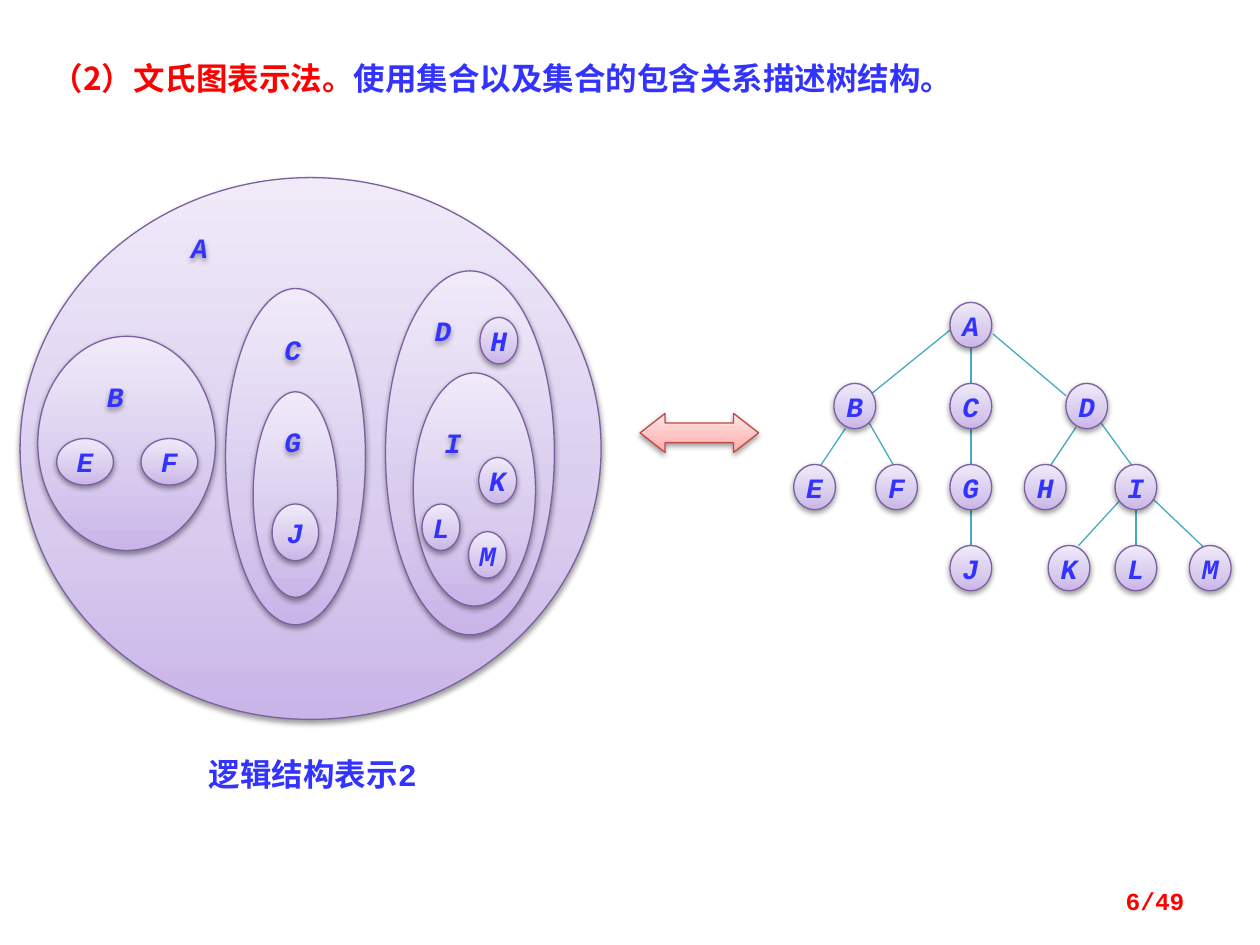
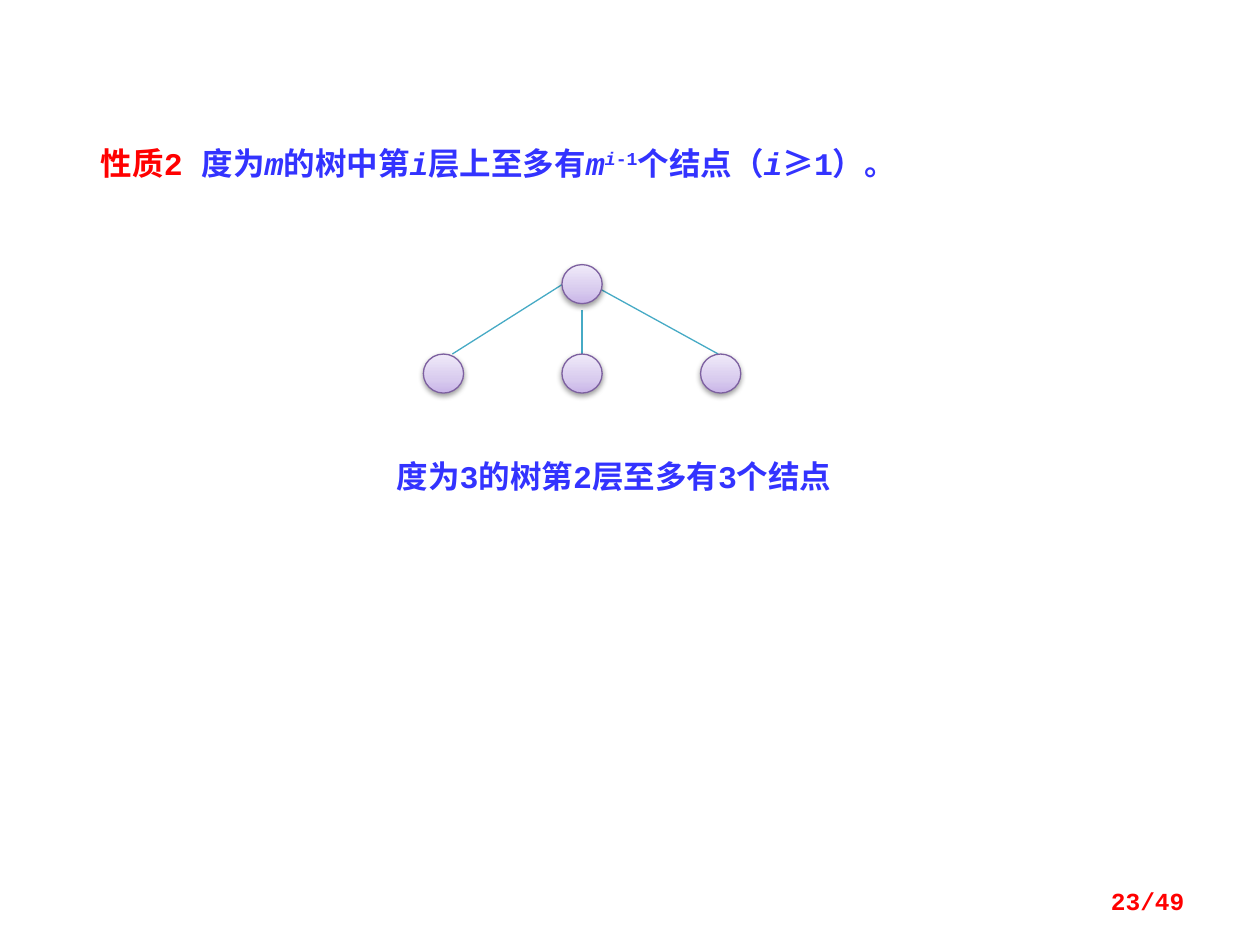
from copy import deepcopy
from pptx import Presentation
from pptx.dml.color import RGBColor
from pptx.enum import shapes, text
from pptx.oxml import parse_xml
from pptx.oxml.ns import nsdecls, qn
from pptx.util import Pt

COLORS = {"blue": "3333FF", "red": "FF0000", "edge": "46AAC5",
          "violet line": "7D60A0", "rose line": "BF4C48"}
GRADIENTS = {"violet": ("C9B5E8", "D8CBEE", "F0EAF9"),
             "rose": ("FFA6A5", "FFC0BF", "FFE7E7")}
MONO, CJK, SERIF = "Courier New", "Noto Sans CJK SC", "Times New Roman"
SHADOW = (f'<a:outerShdw {nsdecls("a")} blurRad="40000" dist="20000" dir="5400000" '
          'rotWithShape="0"><a:srgbClr val="000000"><a:alpha val="38000"/>'
          '</a:srgbClr></a:outerShdw>')
OVAL = shapes.MSO_SHAPE.OVAL
ALIGN = text.PP_ALIGN


def write(sp, words, size, color="blue", align=ALIGN.LEFT, italic=False,
          anchor=text.MSO_ANCHOR.TOP, wrap=True):
    """Put one bold paragraph into a shape and return it."""
    tf = sp.text_frame
    tf.word_wrap = wrap
    tf.vertical_anchor = anchor
    p = tf.paragraphs[0]
    p.text = words
    p.alignment = align
    p.font.size, p.font.bold, p.font.italic = Pt(size), True, italic
    p.font.color.rgb = RGBColor.from_string(COLORS[color])
    p.font.name = MONO
    latin = p._p.pPr.find(".//" + qn("a:latin"))
    latin.addnext(parse_xml(f'<a:ea {nsdecls("a")} typeface="{CJK}"/>'))
    return p


def glossy(s, kind, box, tone="violet"):
    """Add a shape with a vertical gradient, thin outline and soft shadow."""
    sp = s.shapes.add_shape(kind, *map(Pt, box))
    sp.fill.gradient()
    sp.fill.gradient_angle = 90
    stops = sp._element.spPr.find(".//" + qn("a:gsLst"))
    stops.insert(1, deepcopy(stops[0]))
    for stop, at, color in zip(sp.fill.gradient_stops, (0, 0.35, 1), GRADIENTS[tone]):
        stop.position = at
        stop.color.rgb = RGBColor.from_string(color)
    sp.line.color.rgb = RGBColor.from_string(COLORS[tone + " line"])
    sp.line.width = Pt(0.75)
    sp.shadow.inherit = False
    sp._element.spPr.find(qn("a:effectLst")).append(parse_xml(SHADOW))
    return sp


# Tree of slide 1: letter -> (left, level)
NODE_W, NODE_H, TOP, LEVEL = 23.8, 25.9, 172.8, 46.3
tree = {"A": (542.9, 0), "B": (476.6, 1), "C": (542.9, 1), "D": (609.1, 1),
        "E": (453.6, 2), "F": (500.4, 2), "G": (542.9, 2), "H": (585.4, 2),
        "I": (637.2, 2), "J": (542.9, 3), "K": (599, 3), "L": (637.2, 3),
        "M": (679.7, 3)}
tree_edges = [(542.9, 188.6, 497.5, 225.4), (567.4, 190.8, 609.1, 226.1),
              (483.1, 244.8, 468.7, 266.4), (496.8, 241.9, 510.5, 265.7),
              (614.9, 244.1, 600.5, 265.7), (629.3, 241.9, 646.6, 265.7),
              (640.1, 285.8, 616.3, 311.8), (658.8, 285.1, 687.6, 312.5)]
for parent, child in ("AC", "CG", "GJ", "IL"):
    x, level = tree[parent]
    mid, top = x + NODE_W / 2, TOP + level * LEVEL
    tree_edges.append((mid, top + NODE_H, mid, top + LEVEL))

# Title runs: text, colour, font, italic, superscript
pages = [
    dict(title_box=(22.3, 28.1, 551.5, 31.7), spacing=1.1, number="6/49",
         title=[("（2）文氏图表示法。", "red", CJK, False, False),
                ("使用集合以及集合的包含关系描述树结构。", "blue", SERIF, False, False)],
         edges=tree_edges,
         nodes=[(x, TOP + level * LEVEL, NODE_W, NODE_H, name)
                for name, (x, level) in tree.items()],
         caption="逻辑结构表示2", caption_box=(112.3, 427.7, 142.6, 28.8)),
    dict(title_box=(50.4, 78.5, 534.2, 28.8), spacing=1.0, number="23/49",
         title=[("性质2 ", "red", MONO, False, False),
                ("度为", "blue", MONO, False, False),
                ("m", "blue", MONO, True, False),
                ("的树中第", "blue", MONO, False, False),
                ("i", "blue", MONO, True, False),
                ("层上至多有", "blue", MONO, False, False),
                ("m", "blue", MONO, True, False),
                ("i", "blue", MONO, True, True),
                ("-1", "blue", MONO, False, True),
                ("个结点（", "blue", MONO, False, False),
                ("i", "blue", MONO, True, False),
                ("≥", "blue", CJK, False, False),
                ("1）。", "blue", MONO, False, False)],
         edges=[(321.1, 162.7, 258.5, 202.3), (332.6, 177.1, 332.6, 205.2),
                (338.4, 162.7, 410.4, 202.3)],
         nodes=[(321.1, 151.2, 23, 22.3, "")]
               + [(241.9 + 79.2 * i, 202.3, 23, 22.3, "") for i in range(3)],
         caption="度为3的树第2层至多有3个结点", caption_box=(219.6, 257.8, 270, 28.8)),
]

prs = Presentation()
prs.slide_width, prs.slide_height = Pt(720), Pt(540)

for page in pages:
    s = prs.slides.add_slide(prs.slide_layouts[5])

    # Title
    sp = s.shapes.title
    sp.left, sp.top, sp.width, sp.height = map(Pt, page["title_box"])
    p = write(sp, "", 18, align=ALIGN.JUSTIFY)
    sp.text_frame.auto_size = text.MSO_AUTO_SIZE.NONE
    p.line_spacing = page["spacing"]
    for words, color, font, italic, raised in page["title"]:
        r = p.add_run()
        r.text = words
        r.font.color.rgb = RGBColor.from_string(COLORS[color])
        r.font.name, r.font.italic = font, italic
        if raised:
            r.font._element.set("baseline", "30000")

    # Tree edges, then nodes
    for ends in page["edges"]:
        cx = s.shapes.add_connector(shapes.MSO_CONNECTOR.STRAIGHT, *map(Pt, ends))
        cx.line.color.rgb = RGBColor.from_string(COLORS["edge"])
        cx.line.width = Pt(0.75)
        cx._element.spPr.append(parse_xml(f'<a:effectLst {nsdecls("a")}/>'))
    for *box, name in page["nodes"]:
        sp = glossy(s, OVAL, box)
        if name:
            write(sp, name, 16, align=ALIGN.CENTER, italic=True,
                  anchor=text.MSO_ANCHOR.MIDDLE, wrap=False)

    # Caption and page number
    write(s.shapes.add_textbox(*map(Pt, page["caption_box"])), page["caption"], 18)
    write(s.shapes.add_textbox(Pt(516.2), Pt(500.4), Pt(167.8), Pt(28.8)),
          page["number"], 14, "red", ALIGN.RIGHT, anchor=text.MSO_ANCHOR.MIDDLE)

# Venn diagram on slide 1: outer sets before the sets they hold
s = prs.slides[0]
for box in [(11.5, 101.5, 332, 309.6), (21.6, 192.2, 101.5, 122.4),
            (128.9, 164.9, 79.9, 192.2), (144.7, 223.9, 48.2, 117.4),
            (220.3, 154.8, 96.5, 208), (236.2, 213.1, 69.8, 133.2)]:
    glossy(s, OVAL, box)
for name, *box in [("E", 32.4, 250.6, 32.4, 26.6), ("F", 80.6, 250.6, 32.4, 26.6),
                   ("J", 155.5, 288, 26.6, 32.4), ("H", 274.3, 181.4, 21.6, 26.6),
                   ("K", 273.6, 261.4, 21.6, 26.6), ("L", 241.2, 288, 21.6, 26.6),
                   ("M", 267.8, 303.8, 21.6, 26.6)]:
    write(glossy(s, OVAL, box), name, 16, align=ALIGN.CENTER, italic=True,
          anchor=text.MSO_ANCHOR.MIDDLE, wrap=False)

# Set names
for name, x, y, w in [("A", 102.2, 128.2, 26.6), ("B", 54, 213.1, 26.6),
                      ("C", 155.5, 186.5, 21.6), ("G", 155.5, 239, 21.6),
                      ("D", 241.2, 175.7, 27.4), ("I", 247, 239.8, 26.6)]:
    sp = s.shapes.add_textbox(Pt(x), Pt(y), Pt(w), Pt(27.4))
    write(sp, name, 16, italic=True)
    sp.shadow.inherit = False
    sp._element.spPr.find(qn("a:effectLst")).append(parse_xml(SHADOW))

# Double arrow between diagram and tree
sp = glossy(s, shapes.MSO_SHAPE.LEFT_RIGHT_ARROW, (365.8, 236.2, 67.7, 22.3), "rose")
sp.adjustments[0], sp.adjustments[1] = 0.5, 0.64

prs.save("out.pptx")
